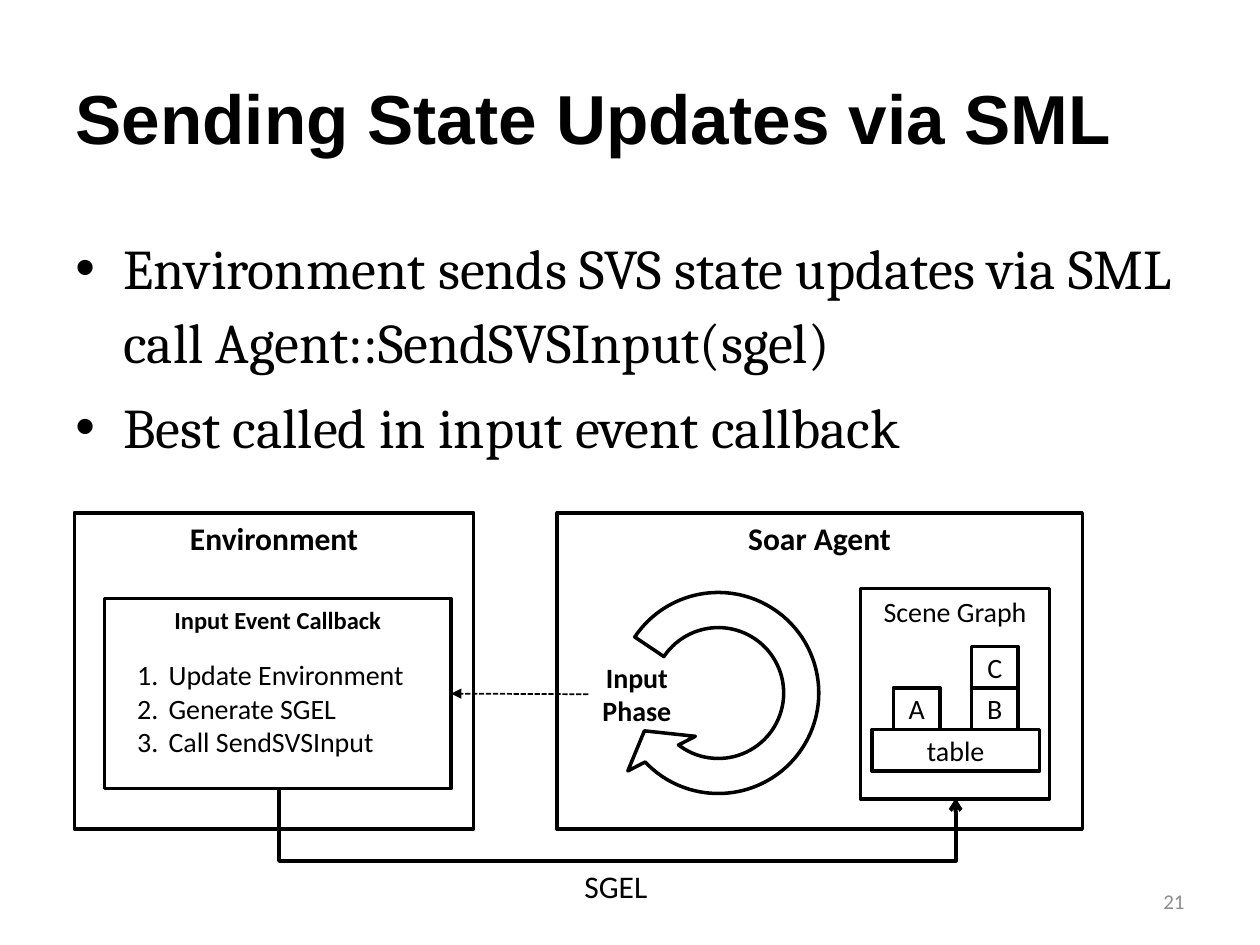
from lxml.etree import SubElement
from pptx import Presentation
from pptx.dml.color import RGBColor
from pptx.enum.dml import MSO_LINE
from pptx.enum.shapes import MSO_CONNECTOR as Link, MSO_SHAPE as Shape
from pptx.enum.text import MSO_ANCHOR as Anchor, MSO_AUTO_SIZE as AutoSize, PP_ALIGN as Align
from pptx.oxml.ns import qn
from pptx.util import Inches, Pt

COLORS = {"ink": "000000", "paper": "FFFFFF", "page": "8C8C8C"}
BULLET = ("a:buChar", {"char": "•"}, 0.38)
NUMBER = ("a:buAutoNum", {"type": "arabicPeriod"}, 0.25)


def color(name):
    """Return the named colour."""
    return RGBColor.from_string(COLORS[name])


def set_all(target, values):
    """Set every attribute in a dict of format values."""
    for key, value in values.items():
        setattr(target, key, value)


def add_marker(paragraph, marker):
    """Give a paragraph a hanging bullet or number."""
    tag, attributes, indent = marker
    properties = paragraph._p.get_or_add_pPr()
    properties.set("marL", str(Inches(indent)))
    properties.set("indent", str(-Inches(indent)))
    SubElement(properties, qn("a:buFont"), typeface="Arial" if tag == "a:buChar" else "+mj-lt")
    SubElement(properties, qn(tag), attributes)


def write(shape, lines, size, name="Calibri", ink="ink", bold=False, align=Align.LEFT,
          marker=None, spacing=None, gap=0, **frame_format):
    """Fill a shape with paragraphs of one style."""
    frame = shape.text_frame
    set_all(frame, {"word_wrap": True, "vertical_anchor": Anchor.TOP, **frame_format})
    for index, line in enumerate(lines):
        paragraph = frame.add_paragraph() if index else frame.paragraphs[0]
        if marker:
            add_marker(paragraph, marker)
        set_all(paragraph, {"alignment": align, "line_spacing": spacing,
                            "space_before": Pt(gap if index else 0)})
        run = paragraph.add_run()
        run.text = line
        set_all(run.font, {"size": Pt(size), "name": name, "bold": bold})
        run.font.color.rgb = color(ink)


def add_label(slide, box, lines, size, **style):
    """Add a text box."""
    label = slide.shapes.add_textbox(*map(Inches, box))
    write(label, lines, size, **style)
    return label


def add_outline(slide, kind, box, fill=None):
    """Add an outlined shape, hollow unless a fill is named."""
    shape = slide.shapes.add_shape(kind, *map(Inches, box))
    shape.shadow.inherit = False
    if fill:
        shape.fill.solid()
        shape.fill.fore_color.rgb = color(fill)
    else:
        shape.fill.background()
    shape.line.color.rgb = color("ink")
    shape.line.width = Pt(2)
    return shape


def add_panel(slide, box, heading, size, bold=True):
    """Add a hollow rectangle with a heading at its top."""
    panel = add_outline(slide, Shape.RECTANGLE, box)
    write(panel, [heading], size, bold=bold, align=Align.CENTER)
    return panel


def add_block(slide, box, name):
    """Add a filled block of the scene."""
    block = add_outline(slide, Shape.RECTANGLE, box, "paper")
    write(block, [name], 16, align=Align.CENTER, vertical_anchor=Anchor.MIDDLE)


def add_arrow(slide, kind, ends, width, head, dash=None):
    """Add a connector with an arrowhead at its end."""
    arrow = slide.shapes.add_connector(kind, *map(Inches, ends))
    arrow.line.color.rgb = color("ink")
    set_all(arrow.line, {"width": Pt(width), "dash_style": dash})
    SubElement(arrow.line._get_or_add_ln(), qn("a:tailEnd"), type=head)
    SubElement(arrow._element.spPr, qn("a:effectLst"))
    return arrow


def add_title(slide, text):
    """Place and fill the title placeholder."""
    title = slide.shapes.title
    box = map(Inches, (0.5, 0.3, 9, 1.25))
    set_all(title, dict(zip(("left", "top", "width", "height"), box)))
    write(title, [text], 39.6, name="Arial", bold=True,
          vertical_anchor=Anchor.MIDDLE, auto_size=AutoSize.NONE)


def add_cycle(slide):
    """Add the circular arrow of the agent's decision cycle."""
    cycle = add_outline(slide, Shape.CIRCULAR_ARROW, (4.74, 4.54, 1.92, 1.92))
    cycle.rotation = 154.6
    for index, value in enumerate((0.145, 11.885, 203.074, 35.552, 0.157)):
        cycle.adjustments[index] = value


def add_scene(slide):
    """Add the stacked blocks and their table."""
    side, step, floor = 0.37, 0.33, 5.79
    for name, left, level in (("A", 7.09, 1), ("B", 7.71, 1), ("C", 7.71, 2)):
        add_block(slide, (left, floor - level * step, side, step), name)
    add_block(slide, (6.92, floor, 1.33, step), "table")


def add_sgel_route(slide):
    """Add the elbow arrow from the callback to the scene graph."""
    route = add_arrow(slide, Link.ELBOW, (4.94, 3.61, 4.86, 8.98), 2.25, "arrow")
    properties = route._element.spPr
    properties.find(qn("a:xfrm")).set("rot", str(270 * 60000))
    guides = properties.find(qn("a:prstGeom")).get_or_add_avLst()
    SubElement(guides, qn("a:gd"), name="adj1", fmla="val 722600")


def main():
    """Build the slide and save it."""
    deck = Presentation()
    set_all(deck, {"slide_width": Inches(10), "slide_height": Inches(7.5)})
    slide = deck.slides.add_slide(deck.slide_layouts[5])
    add_title(slide, "Sending State Updates via SML")
    add_label(slide, (0.5, 1.75, 9, 2.25),
              ["Environment sends SVS state updates via SML call Agent::SendSVSInput(sgel)",
               "Best called in input event callback"],
              32, name="Cambria", marker=BULLET, spacing=1.1, gap=6.4)
    add_label(slide, (7.17, 6.95, 2.33, 0.4), ["21"], 12, ink="page",
              align=Align.RIGHT, vertical_anchor=Anchor.MIDDLE)

    add_cycle(slide)
    fitted = {"word_wrap": False, "auto_size": AutoSize.SHAPE_TO_FIT_TEXT}
    phase = add_label(slide, (4.67, 5.19, 0.77, 0.64), ["Input", "Phase"], 16,
                      bold=True, align=Align.CENTER, **fitted)
    add_panel(slide, (4.42, 4.07, 4.17, 2.51), "Soar Agent", 18)
    add_panel(slide, (6.83, 4.67, 1.5, 1.67), "Scene Graph", 16, bold=False)
    add_panel(slide, (0.59, 4.07, 3.17, 2.51), "Environment", 18)
    callback = add_panel(slide, (0.83, 4.75, 2.75, 1.51), "Input Event Callback", 14)

    add_sgel_route(slide)
    call = add_arrow(slide, Link.STRAIGHT, (4.67, 5.51, 3.58, 5.51), 1, "triangle",
                     MSO_LINE.SQUARE_DOT)
    call.begin_connect(phase, 1)
    call.end_connect(callback, 3)
    add_scene(slide)
    add_label(slide, (4.54, 6.83, 0.71, 0.4), ["SGEL"], 18, **fitted)
    add_label(slide, (0.99, 5.17, 2.34, 0.91),
              ["Update Environment", "Generate SGEL", "Call SendSVSInput"],
              16, marker=NUMBER, **fitted)
    deck.save("out.pptx")


if __name__ == "__main__":
    main()
